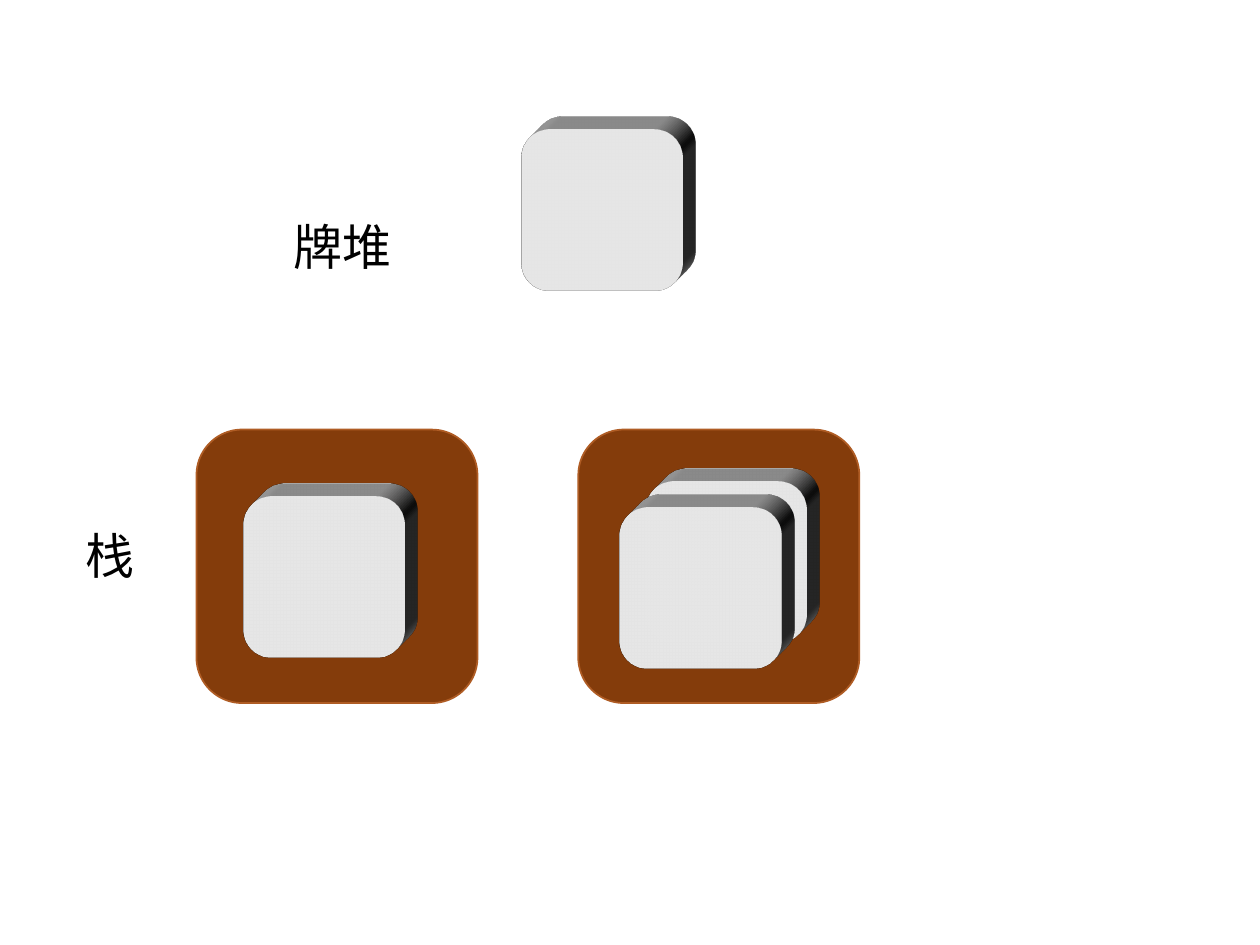
import dataclasses

import lxml.etree
import pptx
import pptx.dml.color
import pptx.enum.shapes
import pptx.oxml
import pptx.oxml.ns
import pptx.shapes.autoshape
import pptx.slide
import pptx.util

Inches = pptx.util.Inches
FONT = "Noto Sans CJK SC"
TILE_SIZE = 1.28
TRAY_SIZE = (2.23, 2.17)
TRAY_TOP = 3.41
EXTRUSION_DEPTH = pptx.util.Pt(35)


@dataclasses.dataclass(frozen=True)
class Label:
    text: str
    left: float
    top: float


@dataclasses.dataclass(frozen=True)
class Position:
    left: float
    top: float


LABELS = [Label("牌堆", 2.23, 1.67), Label("栈", 0.58, 4.12)]
TRAYS = [Position(1.56, TRAY_TOP), Position(4.59, TRAY_TOP)]
TILES = [
    Position(4.14, 1.03),
    Position(1.93, 3.94),
    Position(5.12, 3.82),
    Position(4.92, 4.03),
]


def color(value: str) -> pptx.dml.color.RGBColor:
    return pptx.dml.color.RGBColor.from_string(value)


def add_label(slide: pptx.slide.Slide, label: Label) -> None:
    box = slide.shapes.add_textbox(
        Inches(label.left), Inches(label.top), Inches(1.4), Inches(0.57)
    )
    box.text_frame.word_wrap = True
    paragraph = box.text_frame.paragraphs[0]
    paragraph.text = label.text
    paragraph.font.size = pptx.util.Pt(28)
    paragraph.font.name = FONT
    paragraph.font.color.rgb = color("000000")
    properties = paragraph.font._element
    east_asian = lxml.etree.SubElement(properties, pptx.oxml.ns.qn("a:ea"))
    east_asian.set("typeface", FONT)


def add_rounded(
    slide: pptx.slide.Slide,
    position: Position,
    size: tuple[float, float],
    fill: str,
    line: str,
) -> pptx.shapes.autoshape.Shape:
    width, height = size
    shape = slide.shapes.add_shape(
        pptx.enum.shapes.MSO_SHAPE.ROUNDED_RECTANGLE,
        Inches(position.left),
        Inches(position.top),
        Inches(width),
        Inches(height),
    )
    shape.shadow.inherit = False
    shape.fill.solid()
    shape.fill.fore_color.rgb = color(fill)
    shape.line.color.rgb = color(line)
    shape.line.width = pptx.util.Pt(1)
    return shape


def add_tray(slide: pptx.slide.Slide, position: Position) -> None:
    add_rounded(slide, position, TRAY_SIZE, "843C0B", "AF5C24")


def add_tile(slide: pptx.slide.Slide, position: Position) -> None:
    tile = add_rounded(slide, position, (TILE_SIZE, TILE_SIZE), "D9D9D9", "BFBFBF")
    tile.adjustments[0] = 0.175
    namespace = pptx.oxml.ns.nsdecls("a")
    scene = pptx.oxml.parse_xml(
        f'<a:scene3d {namespace}><a:camera prst="obliqueTopRight"/>'
        '<a:lightRig rig="threePt" dir="t"/></a:scene3d>'
    )
    extrusion = pptx.oxml.parse_xml(
        f'<a:sp3d {namespace} extrusionH="{EXTRUSION_DEPTH}"/>'
    )
    tile._element.spPr.extend([scene, extrusion])


def main() -> None:
    presentation = pptx.Presentation()
    presentation.slide_width = Inches(10)
    presentation.slide_height = Inches(7.5)
    slide = presentation.slides.add_slide(presentation.slide_layouts[6])
    for tray in TRAYS:
        add_tray(slide, tray)
    for label in LABELS:
        add_label(slide, label)
    for tile in TILES:
        add_tile(slide, tile)
    presentation.save("out.pptx")


if __name__ == "__main__":
    main()
